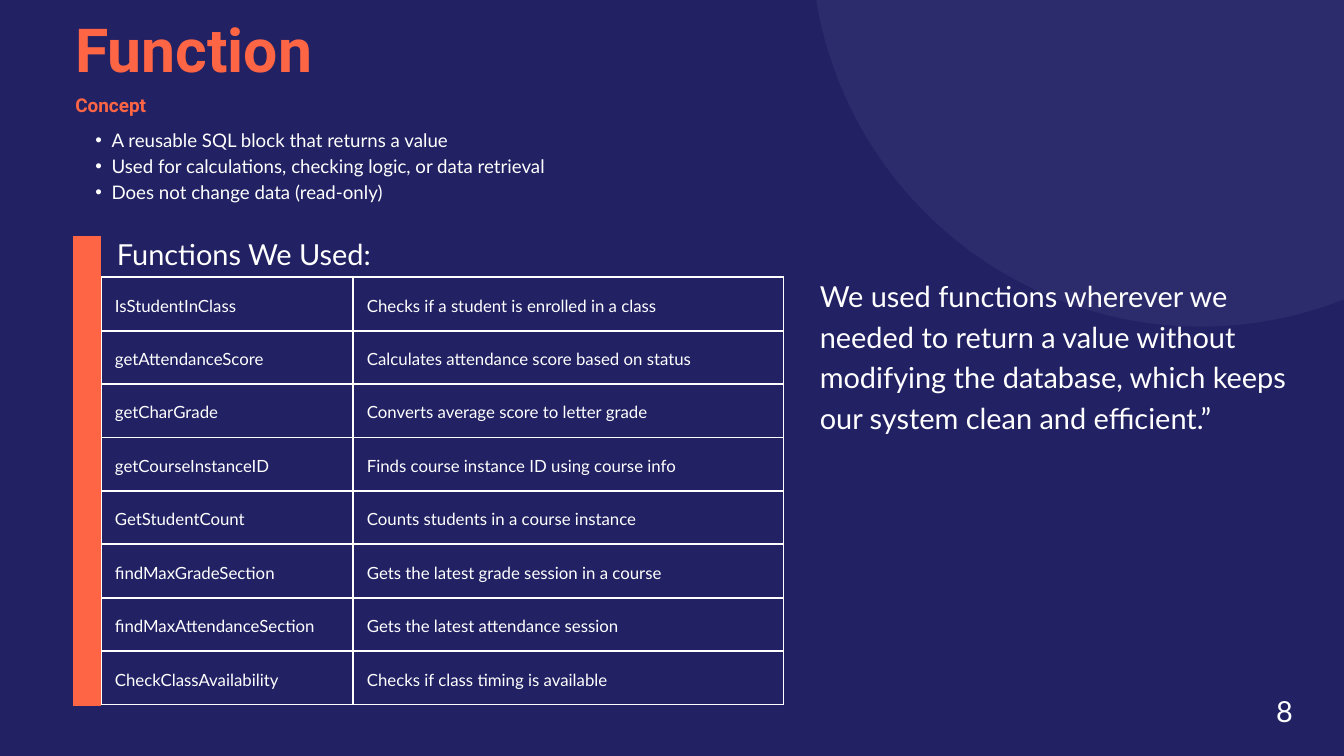
from dataclasses import dataclass

import pptx
import pptx.dml.color
import pptx.enum.shapes
import pptx.enum.text
import pptx.oxml
import pptx.oxml.ns
import pptx.util

Pt = pptx.util.Pt
ALIGN = pptx.enum.text.PP_ALIGN
ANCHOR = pptx.enum.text.MSO_ANCHOR
COLORS = {"navy": "212163", "circle": "2C2C6C", "orange": "FE6544", "white": "FFFFFF"}


@dataclass
class TextStyle:
    size: float
    spacing: float
    font: str = "Lato"
    color: str = "white"
    bold: bool = False
    align: ALIGN = ALIGN.LEFT


@dataclass
class Label:
    text: str
    box: tuple[float, float, float, float]
    style: TextStyle


TITLE = TextStyle(65, 91, "Roboto", "orange", True)
HEADING = TextStyle(20.3, 28.4, "Roboto", "orange", True)
BULLET = TextStyle(20, 28)
LARGE = TextStyle(31, 43.4)
NUMBER = TextStyle(31, 43.4, align=ALIGN.CENTER)
CELL = TextStyle(18, 25.2)

BULLETS = [
    "A reusable SQL block that returns a value",
    "Used for calculations, checking logic, or data retrieval",
    "Does not change data (read-only)",
]
FUNCTIONS = [
    ("IsStudentInClass", "Checks if a student is enrolled in a class"),
    ("getAttendanceScore", "Calculates attendance score based on status"),
    ("getCharGrade", "Converts average score to letter grade"),
    ("getCourseInstanceID", "Finds course instance ID using course info"),
    ("GetStudentCount", "Counts students in a course instance"),
    ("findMaxGradeSection", "Gets the latest grade session in a course"),
    ("findMaxAttendanceSection", "Gets the latest attendance session"),
    ("CheckClassAvailability", "Checks if class timing is available"),
]
LABELS = [
    Label("Concept", (80.64, 96.5, 215, 28), HEADING),
    Label("Functions We Used:", (125.28, 247.7, 277, 41), LARGE),
    Label("We used functions wherever we needed to return a value without modifying "
          "the database, which keeps our system clean and efficient.”",
          (878.4, 292.3, 505.4, 212.4), LARGE),
    Label("8", (1367.28, 736.56, 18, 41), NUMBER),
]
COLUMNS = (270, 461.5)
ROW_HEIGHT = 57.24
CELL_INSET = 15.12


def rgb(name: str) -> pptx.dml.color.RGBColor:
    return pptx.dml.color.RGBColor.from_string(COLORS[name])


def write(tf, lines: list[str], style: TextStyle) -> None:
    tf.text = "\n".join(lines)
    for p in tf.paragraphs:
        formats = {"alignment": style.align, "line_spacing": Pt(style.spacing),
                   "space_before": Pt(0), "space_after": Pt(0)}
        for name, value in formats.items():
            setattr(p, name, value)
        font = p.runs[0].font
        for name, value in {"size": Pt(style.size), "name": style.font,
                            "bold": style.bold}.items():
            setattr(font, name, value)
        font.color.rgb = rgb(style.color)


def fill_box(sp, box: tuple, lines: list[str], style: TextStyle) -> None:
    for name, value in zip(("left", "top", "width", "height"), box):
        setattr(sp, name, Pt(value))
    tf = sp.text_frame
    formats = {"margin_left": 0, "margin_top": 0, "margin_right": 0, "margin_bottom": 0,
               "word_wrap": True, "auto_size": pptx.enum.text.MSO_AUTO_SIZE.NONE,
               "vertical_anchor": ANCHOR.TOP}
    for name, value in formats.items():
        setattr(tf, name, value)
    write(tf, lines, style)


def add_bullet(p, left: float, hanging: float) -> None:
    p.level = 1
    pPr = p._p.get_or_add_pPr()
    pPr.set("marL", str(int(Pt(left))))
    pPr.set("indent", str(-int(Pt(hanging))))
    for tag, key, value in (("buFont", "typeface", "Arial"), ("buChar", "char", "•")):
        pPr.append(pptx.oxml.parse_xml(
            f'<a:{tag} {pptx.oxml.ns.nsdecls("a")} {key}="{value}"/>'))


def add_borders(cell, color: str, width: float) -> None:
    tcPr = cell._tc.get_or_add_tcPr()
    for i, side in enumerate(("lnL", "lnR", "lnT", "lnB")):
        tcPr.insert(i, pptx.oxml.parse_xml(
            f'<a:{side} {pptx.oxml.ns.nsdecls("a")} w="{int(Pt(width))}"><a:solidFill>'
            f'<a:srgbClr val="{COLORS[color]}"/></a:solidFill></a:{side}>'))


def add_function_table(s, left: float, top: float) -> None:
    table = s.shapes.add_table(len(FUNCTIONS), len(COLUMNS), Pt(left), Pt(top),
                               Pt(sum(COLUMNS)), Pt(ROW_HEIGHT * len(FUNCTIONS))).table
    table.first_row = table.horz_banding = False
    for column, width in zip(table.columns, COLUMNS):
        column.width = Pt(width)
    for row, texts in zip(table.rows, FUNCTIONS):
        row.height = Pt(ROW_HEIGHT)
        for cell, text in zip(row.cells, texts):
            for side in ("left", "top", "right", "bottom"):
                setattr(cell, f"margin_{side}", Pt(CELL_INSET))
            cell.vertical_anchor = ANCHOR.MIDDLE
            cell.fill.background()
            add_borders(cell, "white", 2.25)
            write(cell.text_frame, [text], CELL)


def add_bar(s, x: float, top: float, bottom: float, width: float) -> None:
    line = s.shapes.add_connector(pptx.enum.shapes.MSO_CONNECTOR.STRAIGHT,
                                  Pt(x), Pt(top), Pt(x), Pt(bottom))
    line.line.color.rgb = rgb("orange")
    line.line.width = Pt(width)
    line._element.spPr.append(pptx.oxml.parse_xml(
        f'<a:effectLst {pptx.oxml.ns.nsdecls("a")}/>'))


def main() -> None:
    prs = pptx.Presentation()
    prs.slide_width, prs.slide_height = Pt(1440), Pt(810)
    s = prs.slides.add_slide(prs.slide_layouts[1])

    # Background and corner circle
    s.background.fill.solid()
    s.background.fill.fore_color.rgb = rgb("navy")
    circle = s.shapes.add_shape(pptx.enum.shapes.MSO_SHAPE.OVAL,
                                Pt(869), Pt(-485.3), Pt(835.2), Pt(835.2))
    circle.shadow.inherit = False
    circle.fill.solid()
    circle.fill.fore_color.rgb = rgb("circle")
    circle.line.fill.background()

    # Table with its side bar
    add_function_table(s, 108, 297)
    add_bar(s, 93.6, 252.72, 756, 30)

    # Title and concept bullets
    fill_box(s.shapes.title, (80.64, -0.72, 689, 88.6), ["Function"], TITLE)
    body = s.placeholders[1]
    fill_box(body, (85.68, 133.92, 545, 82.8), BULLETS, BULLET)
    for p in body.text_frame.paragraphs:
        add_bullet(p, 33.84, 17.28)

    # Headings, remark and page number
    for label in LABELS:
        sp = s.shapes.add_textbox(0, 0, 0, 0)
        fill_box(sp, label.box, [label.text], label.style)

    prs.save("out.pptx")


if __name__ == "__main__":
    main()
